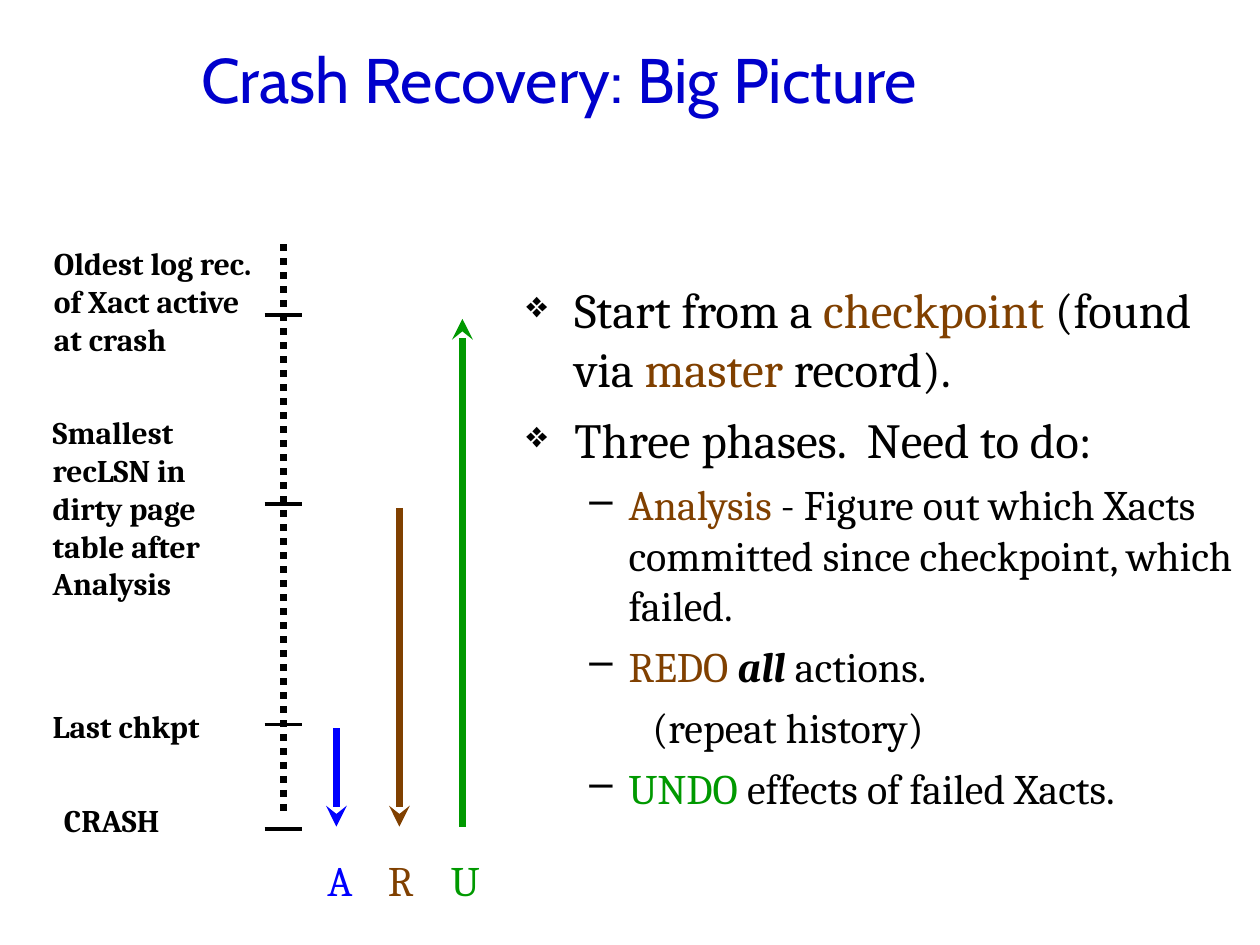
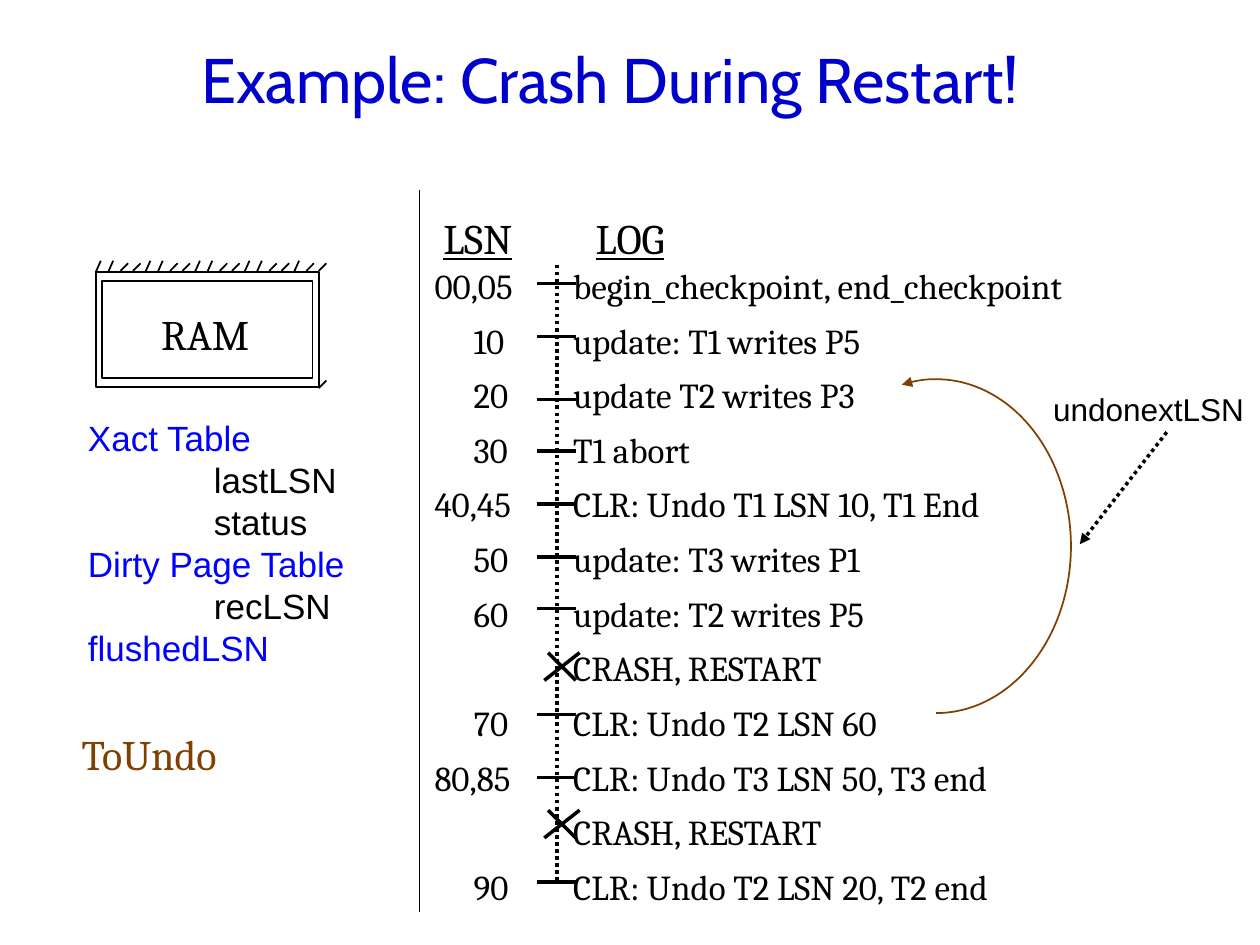
from lxml import etree
from pptx import Presentation
from pptx import util as u
from pptx.dml.color import RGBColor
from pptx.enum import dml, shapes, text
from pptx.oxml.ns import qn

BLACK = RGBColor(0x00, 0x00, 0x00)
NAVY = RGBColor(0x00, 0x00, 0xCC)
BLUE = RGBColor(0x00, 0x00, 0xFF)
BROWN = RGBColor(0x80, 0x40, 0x00)
GREEN = RGBColor(0x00, 0x99, 0x00)

COLS, ROWS = 100, 75  # grid over the whole slide
SERIF, SANS, HEAD = "Cambria", "Arial", "Cabin"


class Pen:
    """Draws on the current slide, in grid columns and rows."""

    def __init__(self):
        self.deck = Presentation()
        self.deck.slide_width, self.deck.slide_height = u.Inches(10), u.Inches(7.5)

    def x(self, cols):
        return round(self.deck.slide_width * cols / COLS)

    def y(self, rows):
        return round(self.deck.slide_height * rows / ROWS)

    def area(self, left, top, wide, high):
        return self.x(left), self.y(top), self.x(wide), self.y(high)

    def page(self, title):
        self.slide = self.deck.slides.add_slide(self.deck.slide_layouts[6])
        self.pool = self.slide.shapes
        self.label((15, 0, 82.5, 12.5), title, size=36, color=NAVY, font=HEAD,
                   anchor=text.MSO_ANCHOR.MIDDLE)

    def group(self):
        """Send what is drawn next into a new group."""
        self.pool = self.slide.shapes.add_group_shape().shapes

    def label(self, at, *lines, size=24, color=BLACK, font=SERIF, bold=None,
              anchor=text.MSO_ANCHOR.TOP):
        """Add a text box; a line is a string or a list of (words, color)."""
        frame = self.pool.add_textbox(*self.area(*at)).text_frame
        frame.word_wrap = True
        frame.vertical_anchor = anchor
        for i, line in enumerate(lines):
            para = frame.paragraphs[0] if i == 0 else frame.add_paragraph()
            para.font.size, para.font.name = u.Pt(size), font
            para.font.bold, para.font.color.rgb = bold, color
            if isinstance(line, str):
                line = [(line, None)]
            for words, tint in line:
                run = para.add_run()
                run.text = words
                if tint is not None:
                    run.font.color.rgb = tint
        return frame.paragraphs

    def dent(self, para, left, hang=0, mark=None, share=100):
        """Indent a paragraph, with a hanging bullet if a mark is given."""
        props = para._p.get_or_add_pPr()
        props.set("marL", str(self.x(left)))
        props.set("indent", str(-self.x(hang)))
        if mark:
            dot = etree.Element(qn("a:buChar"), char=mark)
            scale = etree.Element(qn("a:buSzPct"), val=str(share * 1000))
            tint = etree.Element(qn("a:buClr"))
            etree.SubElement(tint, qn("a:srgbClr"), val=str(BLACK))
            rest = props.find(qn("a:defRPr"))
            for part in (tint, scale, dot):
                rest.addprevious(part)

    def tab(self, para, at):
        stops = etree.Element(qn("a:tabLst"))
        etree.SubElement(stops, qn("a:tab"), pos=str(self.x(at)), algn="l")
        para._p.get_or_add_pPr().find(qn("a:defRPr")).addprevious(stops)

    def ink(self, shape, color, width, dots=False, head=None, tail=None):
        shape.line.color.rgb, shape.line.width = color, u.Pt(width)
        if dots:
            shape.line.dash_style = dml.MSO_LINE.ROUND_DOT
        for end, kind in (("a:headEnd", head), ("a:tailEnd", tail)):
            if kind:
                etree.SubElement(shape.get_or_add_ln(), qn(end), type=kind)

    def line(self, x1, y1, x2, y2, color=BLACK, width=2, **ends):
        wire = self.pool.add_connector(shapes.MSO_CONNECTOR.STRAIGHT, self.x(x1),
                                       self.y(y1), self.x(x2), self.y(y2))
        self.ink(wire, color, width, **ends)
        etree.SubElement(wire._element.spPr, qn("a:effectLst"))

    def ticks(self, x1, x2, rows):
        for row in rows:
            self.line(x1, row, x2, row)

    def shape(self, kind, at, color=BLACK, width=1, **ends):
        form = self.pool.add_shape(kind, *self.area(*at))
        form.shadow.inherit = False
        form.fill.background()
        self.ink(form, color, width, **ends)
        return form


def phases(pen):
    pen.page("Crash Recovery: Big Picture")

    # Bulleted text
    start, three, *steps = pen.label(
        (40.8, 21.7, 59.2, 44.6),
        [("Start from a ", None), ("checkpoint", BROWN), (" (found via ", None),
         ("master", BROWN), (" record).", None)],
        "Three phases.  Need to do:",
        [("Analysis", BROWN), (" - Figure out which Xacts committed since "
                               "checkpoint, which failed.", None)],
        [("REDO ", BROWN), ("all", None), (" actions.", None)],
        "(repeat history)",
        [("UNDO", GREEN), (" effects of failed Xacts.", None)])
    for para in (start, three):
        para.font.size, para.space_before = u.Pt(28), u.Pt(7)
        pen.dent(para, 3.8, 3.8, "❖", 75)
    for para in steps:
        para.space_before = u.Pt(6)
    analysis, redo, repeat, undo = steps
    for para in (analysis, redo, undo):
        pen.dent(para, 8.1, 3.1, "–")
    pen.dent(repeat, 10)
    redo.runs[1].font.bold = redo.runs[1].font.italic = True

    # Log time line
    pen.line(22.5, 19.4, 22.5, 64.7, width=4, dots=True)
    for left, top, high, words in (
            (3.3, 18.9, 13, "Oldest log rec. of Xact active at crash"),
            (3.2, 32.3, 16, "Smallest recLSN in dirty page table after Analysis"),
            (3.2, 55.6, 4, "Last chkpt"),
            (4.1, 63.1, 4, "CRASH")):
        pen.label((left, top, 18.4, high), words, size=18, bold=True)
    pen.ticks(21, 24, (25, 40, 57.5, 65.8))

    # One arrow per phase
    for col, top, color, name, left, ends in (
            (26.7, 57.8, BLUE, "A", 25, {"tail": "stealth"}),
            (31.7, 40.3, BROWN, "R", 29.8, {"tail": "stealth"}),
            (36.7, 25.3, GREEN, "U", 34.8, {"head": "stealth"})):
        pen.line(col, top, col, 65.6, color, 4, **ends)
        pen.label((left, 67.3, 5, 5), name, color=color)


def restart(pen):
    pen.page("Example: Crash During Restart!")

    # Log records; a crash has no LSN
    crash = "CRASH, RESTART"
    log = (("00,05", "begin_checkpoint, end_checkpoint"),
           ("10", "update: T1 writes P5"),
           ("20", "update T2 writes P3"),
           ("30", "T1 abort"),
           ("40,45", "CLR: Undo T1 LSN 10, T1 End"),
           ("50", "update: T3 writes P1"),
           ("60", "update: T2 writes P5"),
           (None, crash),
           ("70", "CLR: Undo T2 LSN 60"),
           ("80,85", "CLR: Undo T3 LSN 50, T3 end"),
           (None, crash),
           ("90", "CLR: Undo T2 LSN 20, T2 end"))
    notes = pen.label((44.5, 19.5, 46.9, 53), *(note for _, note in log), size=20)
    codes = pen.label((33.5, 19.5, 9.1, 53), *(lsn for lsn, _ in log if lsn), size=20)
    for para in (*notes, *codes):
        para.line_spacing = 1.3
    for para in codes:
        if len(para.text) == 2:
            pen.dent(para, 3.1)
        if para.text in ("70", "90"):
            para.space_before = u.Pt(31.2)
    header, = pen.label((34.2, 16.4, 22.7, 5), "LSN\tLOG")
    header.font.underline = True
    pen.tab(header, 12.1)

    # Log line with ticks and crash marks
    pen.line(44.2, 21, 44.2, 69.9, dots=True)
    pen.ticks(42.6, 45.7, (22.5, 26.7, 31.7, 35.8, 40, 44.2, 48.3, 56.7, 61.7, 70))
    for row in (51.8, 64.3):
        pen.line(43.5, row, 45.7, row + 2.2)
        pen.line(46, row, 43.2, row + 2.2)
    pen.line(33.3, 15.1, 33.3, 72.4, width=1)

    # Tables kept in memory
    for para in pen.label((6, 32.6, 24, 24.3), "Xact Table", "lastLSN", "status",
                          "Dirty Page Table", "recLSN", "flushedLSN",
                          size=20, color=BLUE, font=SANS):
        if para.text in ("lastLSN", "status", "recLSN"):
            para.font.color.rgb = BLACK
            pen.dent(para, 10)
    pen.label((5.5, 57.3, 14.4, 5), "ToUndo", color=BROWN)

    # Undo chain; arc angles count 0.6 per degree
    pen.label((82.6, 30.5, 17.4, 4), "undonextLSN", size=18, font=SANS)
    pen.line(92.6, 34.3, 85.7, 43.2, dots=True, tail="triangle")
    arc = pen.shape(shapes.MSO_SHAPE.ARC, (63.6, 30.1, 21.4, 26.5), BROWN,
                    head="triangle")
    arc.adjustments[0], arc.adjustments[1] = 258 * 0.6, 90 * 0.6

    # Memory chip
    pen.group()
    pen.label((11.8, 24, 10, 5), "RAM")
    for at in ((7.6, 21.6, 17.7, 9.1), (8.1, 22.3, 16.7, 7.7)):
        pen.shape(shapes.MSO_SHAPE.RECTANGLE, at)
    gap = 17.7 / 18
    for i in range(19):
        col = 7.6 + i * gap
        if i % 4 < 2 and i < 17:
            pen.line(col, 21.6, col + 0.4, 20.7, width=1)
        else:
            pen.line(col, 21.5, col + 0.6, 20.9, width=1)
    pen.line(25.3, 30.8, 25.9, 30.2, width=1)


def main():
    pen = Pen()
    phases(pen)
    restart(pen)
    pen.deck.save("out.pptx")


if __name__ == "__main__":
    main()
